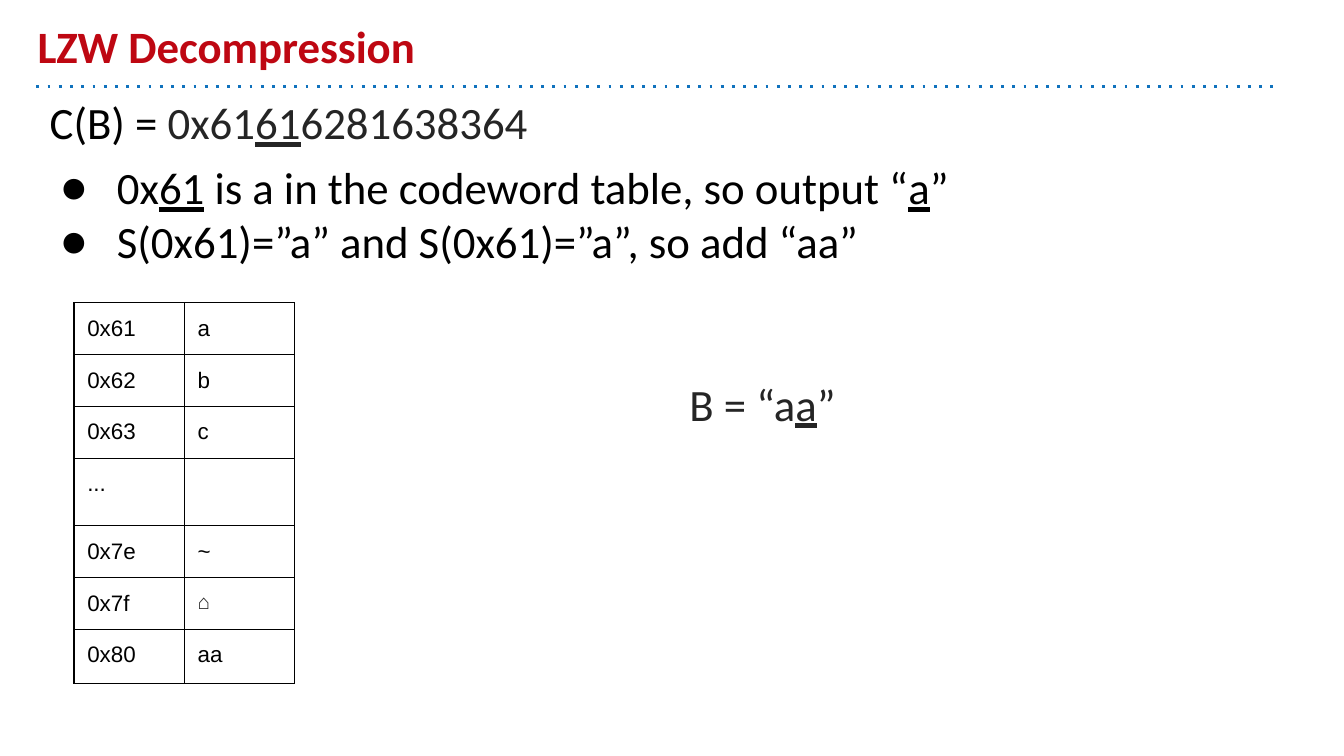
from lxml import etree
from pptx import Presentation
from pptx.dml.color import RGBColor
from pptx.enum.shapes import MSO_CONNECTOR
from pptx.enum.text import MSO_ANCHOR, MSO_AUTO_SIZE, PP_ALIGN
from pptx.oxml.ns import qn
from pptx.util import Cm, Pt

STRAIGHT = MSO_CONNECTOR.STRAIGHT
TOP, MIDDLE, BOTTOM = MSO_ANCHOR.TOP, MSO_ANCHOR.MIDDLE, MSO_ANCHOR.BOTTOM
LEFT = PP_ALIGN.LEFT
NO_FIT = MSO_AUTO_SIZE.NONE

BLACK, GREY, RED, BLUE, WHITE = "000000", "252525", "BE0712", "1072BD", "FFFFFF"
INSET = Cm(0.25)
TITLE_FORMAT = {"name": "Calibri", "size": Pt(24), "bold": True}
BODY_FORMAT = {"name": "Calibri", "size": Pt(24)}
CELL_FORMAT = {"name": "Arial", "size": Pt(12)}
SYMBOL_FORMAT = {"name": "Arial", "size": Pt(11)}

CODEWORDS = [("0x61", "a"), ("0x62", "b"), ("0x63", "c"), ("...", ""),
             ("0x7e", "~"), ("0x7f", "⌂"), ("0x80", "aa")]


def rgb(value):
    return RGBColor.from_string(value)


def add_xml(parent, tag, **attributes):
    return etree.SubElement(parent, qn(tag), attributes)


def write(paragraph, pieces, formats):
    paragraph.alignment = LEFT
    for text, color, underlined in pieces:
        run = paragraph.add_run()
        run.text = text
        for key, value in formats.items():
            setattr(run.font, key, value)
        run.font.color.rgb = rgb(color)
        if underlined:
            run.font.underline = True


def prepare_frame(frame, anchor):
    settings = {"word_wrap": True, "auto_size": NO_FIT, "vertical_anchor": anchor,
                "margin_left": INSET, "margin_right": INSET,
                "margin_top": INSET, "margin_bottom": INSET}
    for key, value in settings.items():
        setattr(frame, key, value)


def add_bullet(paragraph):
    properties = paragraph._p.get_or_add_pPr()
    properties.set("marL", str(Cm(1.27)))
    properties.set("indent", str(-Cm(1.07)))
    bullet_color = add_xml(properties, "a:buClr")
    add_xml(bullet_color, "a:srgbClr", val=BLACK)
    add_xml(properties, "a:buFont", typeface="Calibri")
    add_xml(properties, "a:buChar", char="●")


def add_heading(slide, left, top, width, height):
    title = slide.shapes.title
    title.left, title.top, title.width, title.height = left, top, width, height
    prepare_frame(title.text_frame, BOTTOM)
    write(title.text_frame.paragraphs[0], [("LZW Decompression", RED, False)], TITLE_FORMAT)


def add_divider(slide, left, top, width):
    divider = slide.shapes.add_connector(STRAIGHT, left, top, left + width, top)
    divider.line.color.rgb = rgb(BLUE)
    divider.line.width = Pt(1.5)
    add_xml(divider.line._ln, "a:prstDash", val="dot")
    add_xml(divider._element.spPr, "a:effectLst")


def add_steps(slide, left, top, width, height):
    frame = slide.shapes.add_textbox(left, top, width, height).text_frame
    prepare_frame(frame, TOP)
    write(frame.paragraphs[0],
          [("C(B) = ", BLACK, False), ("0x61", GREY, False),
           ("61", GREY, True), ("6281638364", GREY, False)], BODY_FORMAT)
    steps = [
        (6, [("0x", BLACK, False), ("61", BLACK, True),
             (" is a in the codeword table, so output “", BLACK, False),
             ("a", BLACK, True), ("”", BLACK, False)]),
        (0, [("S(0x61)=”a” and S(0x61)=”a”, so add “aa”", BLACK, False)]),
    ]
    for space, pieces in steps:
        step = frame.add_paragraph()
        add_bullet(step)
        step.space_before = Pt(space)
        write(step, pieces, BODY_FORMAT)


def add_borders(cell):
    properties = cell._tc.get_or_add_tcPr()
    for tag in ("a:lnL", "a:lnR", "a:lnT", "a:lnB"):
        border = add_xml(properties, tag, w=str(Pt(0.75)))
        add_xml(add_xml(border, "a:solidFill"), "a:srgbClr", val=BLACK)


def add_codeword_table(slide, left, top, width, height):
    table = slide.shapes.add_table(len(CODEWORDS), 2, left, top, width, height).table
    table.first_row = table.horz_banding = False
    for column in table.columns:
        column.width = width // 2
    for row, entry in zip(table.rows, CODEWORDS):
        row.height = Cm(0.98) if all(entry) else Cm(1.21)
        for cell, text in zip(row.cells, entry):
            for side in ("left", "right", "top", "bottom"):
                setattr(cell, f"margin_{side}", INSET)
            add_borders(cell)
            cell.fill.solid()
            cell.fill.fore_color.rgb = rgb(WHITE)
            if text:
                symbol = text == "⌂"
                write(cell.text_frame.paragraphs[0],
                      [(text, GREY if symbol else BLACK, False)],
                      SYMBOL_FORMAT if symbol else CELL_FORMAT)
    table.rows[len(CODEWORDS) - 1].height = Cm(1.02)


def add_output(slide, left, top, width, height):
    frame = slide.shapes.add_textbox(left, top, width, height).text_frame
    prepare_frame(frame, MIDDLE)
    write(frame.paragraphs[0],
          [("B = “a", GREY, False), ("a", GREY, True), ("”", GREY, False)], BODY_FORMAT)


def main():
    deck = Presentation()
    deck.slide_width, deck.slide_height = Cm(25.4), Cm(14.29)
    slide = deck.slides.add_slide(deck.slide_layouts[5])
    add_divider(slide, Cm(0.69), Cm(1.63), Cm(23.44))
    add_heading(slide, Cm(0.46), Cm(0.25), Cm(22.86), Cm(1.37))
    add_steps(slide, Cm(0.69), Cm(1.55), Cm(23.44), Cm(11.53))
    add_codeword_table(slide, Cm(1.4), Cm(5.72), Cm(4.17), Cm(7.13))
    add_output(slide, Cm(12.78), Cm(6.58), Cm(7.8), Cm(2.08))
    deck.save("out.pptx")


if __name__ == "__main__":
    main()
